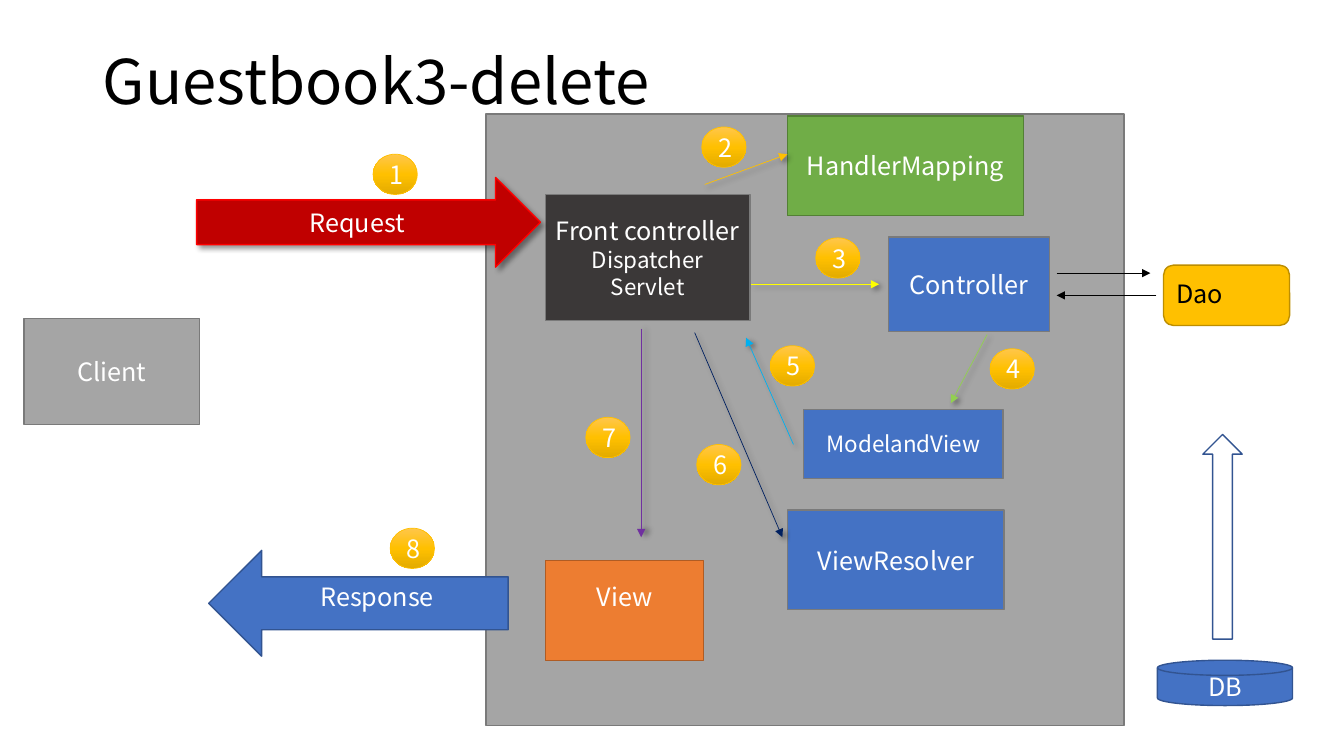
"""Build the Guestbook3-delete slide showing the request flow through a front controller."""
from copy import deepcopy
from lxml import etree
from pptx import Presentation
from pptx.dml.color import RGBColor
from pptx.enum import shapes, text
from pptx.oxml import ns
from pptx.util import Inches, Pt

FONT = "Noto Sans CJK KR"
COLORS = {
    "black": "000000", "white": "FFFFFF", "gray": "A5A5A5", "gray edge": "7A7A7A",
    "charcoal": "3B3838", "blue": "4472C4", "blue edge": "325491", "crimson": "C00000",
    "red": "FF0000", "orange": "ED7D31", "orange edge": "AF5C24", "green": "70AD47",
    "green edge": "538035", "gold": "FFC000", "gold edge": "BD8E00", "gold light": "FFC64B",
    "gold dark": "E3AB00", "yellow": "FFFF00", "lime": "92D050", "sky": "00B0F0",
    "navy": "002060", "purple": "7030A0",
}
RGB = {name: RGBColor.from_string(value) for name, value in COLORS.items()}
KIND = shapes.MSO_SHAPE
ALIGN = text.PP_ALIGN
ANCHOR = text.MSO_ANCHOR


def write(shape, content, sizes=(18,), color="white", align=ALIGN.CENTER,
          anchor=ANCHOR.MIDDLE, bottom=0.05, spacing=None):
    """Fill a shape with one paragraph per line of content."""
    frame = shape.text_frame
    frame.word_wrap = True
    frame.vertical_anchor = anchor
    frame.margin_bottom = Inches(bottom)
    frame.text = content
    for index, paragraph in enumerate(frame.paragraphs):
        paragraph.alignment = align
        paragraph.line_spacing = spacing
        font = paragraph.runs[0].font
        font.name = FONT
        font.size = Pt(sizes[min(index, len(sizes) - 1)])
        font.color.rgb = RGB[color]


def set_shadow(shape, direction=None):
    """Give a shape a soft shadow towards direction in degrees, or none at all."""
    properties = shape._element.spPr
    for old in properties.findall(ns.qn("a:effectLst")):
        properties.remove(old)
    effects = etree.SubElement(properties, ns.qn("a:effectLst"))
    if direction is not None:
        shadow = etree.SubElement(effects, ns.qn("a:outerShdw"), blurRad=str(Pt(4)),
                                  dist=str(Pt(3)), dir=str(direction * 60000))
        color = etree.SubElement(shadow, ns.qn("a:srgbClr"), val=COLORS["black"])
        etree.SubElement(color, ns.qn("a:alpha"), val="40000")


presentation = Presentation()
presentation.slide_width = Inches(13.33)
presentation.slide_height = Inches(7.5)
slide = presentation.slides.add_slide(presentation.slide_layouts[5])

title = slide.shapes.title
title.left, title.top, title.width, title.height = map(Inches, (0.92, 0.29, 11.5, 1.1))
write(title, "Guestbook3-delete", sizes=(44,), color="black", align=ALIGN.LEFT, spacing=0.9)

blocks = [
    (KIND.RECTANGLE, (4.82, 1.13, 6.33, 6.07), "gray", "gray edge", "", {}),
    (KIND.RECTANGLE, (0.24, 3.16, 1.74, 1.05), "gray", "gray edge", "Client", {}),
    (KIND.RECTANGLE, (5.41, 1.93, 2.03, 1.25), "charcoal", "gray edge",
     "Front controller\nDispatcher\nServlet", {"sizes": (18, 16)}),
    (KIND.RECTANGLE, (8.81, 2.35, 1.6, 0.94), "blue", "gray edge", "Controller", {}),
    (KIND.RIGHT_ARROW, (1.95, 1.76, 3.41, 0.89), "crimson", "red", "Request", {}),
    (KIND.RIGHT_ARROW, (2.07, 5.46, 2.97, 1.05), "blue", "blue edge", "", {}),
    (KIND.FLOWCHART_MAGNETIC_DISK, (11.48, 6.55, 1.34, 0.45), "blue", "blue edge", "DB", {}),
    (KIND.DOWN_ARROW, (11.93, 4.31, 0.39, 2.03), "white", "blue edge", "", {}),
    (KIND.ROUNDED_RECTANGLE, (11.54, 2.63, 1.25, 0.6), "gold", "gold edge", "", {}),
    (KIND.RECTANGLE, (7.97, 4.06, 1.98, 0.69), "blue", "gray edge", "ModelandView",
     {"sizes": (16,)}),
    (KIND.RECTANGLE, (5.41, 5.56, 1.57, 0.99), "orange", "orange edge", "View",
     {"bottom": 0.33}),
    (KIND.RECTANGLE, (7.81, 5.06, 2.15, 0.99), "blue", "gray edge", "ViewResolver", {}),
    (KIND.RECTANGLE, (7.81, 1.15, 2.34, 0.99), "green", "green edge", "HandlerMapping", {}),
]
for kind, place, fill, edge, label, style in blocks:
    block = slide.shapes.add_shape(kind, *map(Inches, place))
    block.fill.solid()
    block.fill.fore_color.rgb = RGB[fill]
    block.line.color.rgb = RGB[edge]
    block.line.width = Pt(1)
    set_shadow(block, 45 if label == "Request" else None)
    if label:
        write(block, label, **style)
    elif kind in (KIND.RIGHT_ARROW, KIND.DOWN_ARROW):
        block.rotation = 180
    if place[3] > 6:
        title._element.addprevious(block._element)

labels = [
    ("Response", (3.08, 5.72, 1.45, 0.4), "white"),
    ("Dao", (11.57, 2.71, 1.25, 0.4), "black"),
]
for label, place, color in labels:
    box = slide.shapes.add_textbox(*map(Inches, place))
    write(box, label, color=color, align=ALIGN.LEFT, anchor=ANCHOR.TOP)

arrows = [
    ((10.48, 2.71, 11.41, 2.71), "black", None),
    ((11.47, 2.93, 10.48, 2.93), "black", None),
    ((7.45, 2.82, 8.72, 2.82), "yellow", 45),
    ((6.99, 1.83, 7.81, 1.53), "gold", 45),
    ((9.79, 3.32, 9.43, 4), "lime", 45),
    ((7.87, 4.41, 7.4, 3.35), "sky", 45),
    ((6.89, 3.3, 7.76, 5.33), "navy", 45),
    ((6.36, 3.26, 6.36, 5.33), "purple", 0),
]
for ends, color, direction in arrows:
    arrow = slide.shapes.add_connector(shapes.MSO_CONNECTOR.STRAIGHT, *map(Inches, ends))
    arrow.line.color.rgb = RGB[color]
    arrow.line.width = Pt(0.5)
    etree.SubElement(arrow.line._get_or_add_ln(), ns.qn("a:tailEnd"), type="triangle")
    set_shadow(arrow, direction)

badges = [(3.7, 1.53), (6.96, 1.26), (8.09, 2.36), (9.82, 3.46),
          (7.64, 3.43), (6.91, 4.41), (5.81, 4.14), (3.87, 5.24)]
for number, (left, top) in enumerate(badges, start=1):
    badge = slide.shapes.add_shape(KIND.OVAL, Inches(left), Inches(top), Inches(0.44), Inches(0.4))
    badge.fill.gradient()
    badge.fill.gradient_angle = 270
    stops = badge.fill._fill._gradFill.gsLst
    stops.insert(1, deepcopy(stops[0]))
    for stop, position, color in zip(badge.fill.gradient_stops, (0, 0.5, 1),
                                     ("gold light", "gold", "gold dark")):
        stop.position = position
        stop.color.rgb = RGB[color]
    badge.line.color.rgb = RGB["gold"]
    badge.line.width = Pt(0.5)
    set_shadow(badge)
    write(badge, str(number))

presentation.save("out.pptx")
